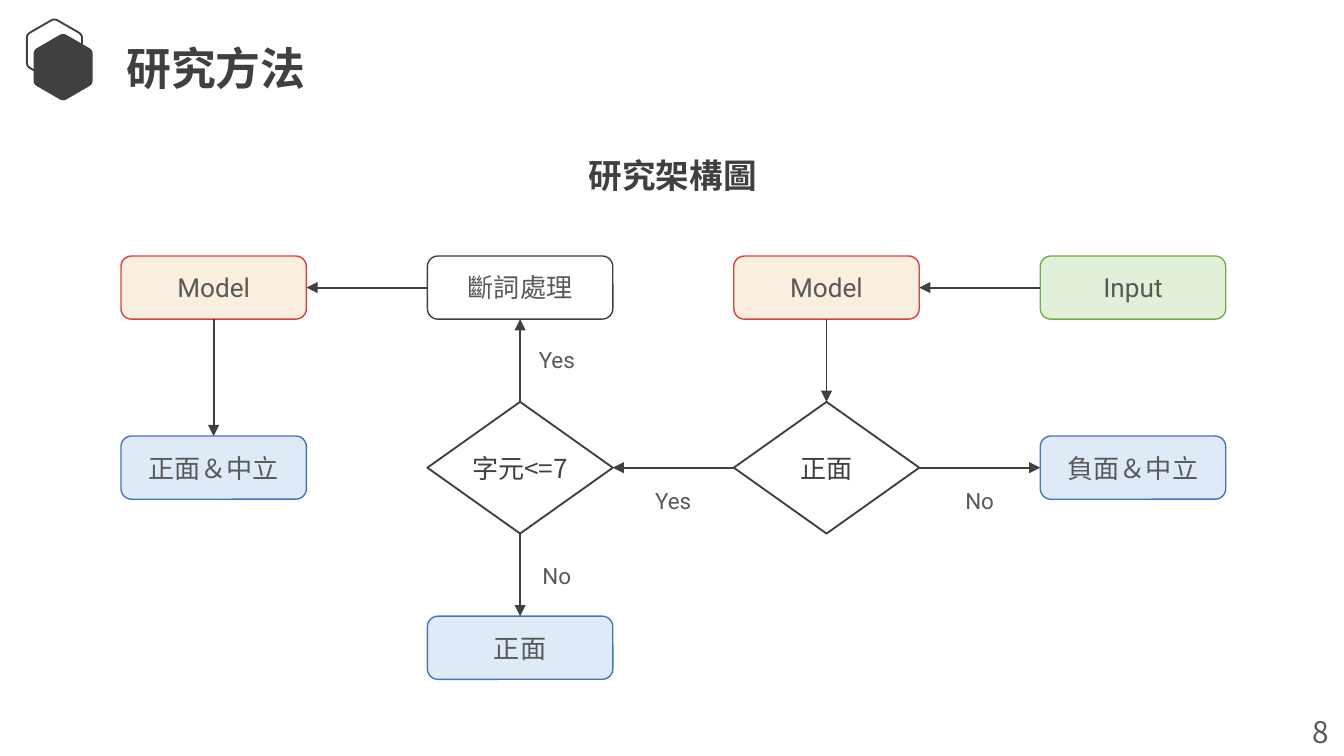
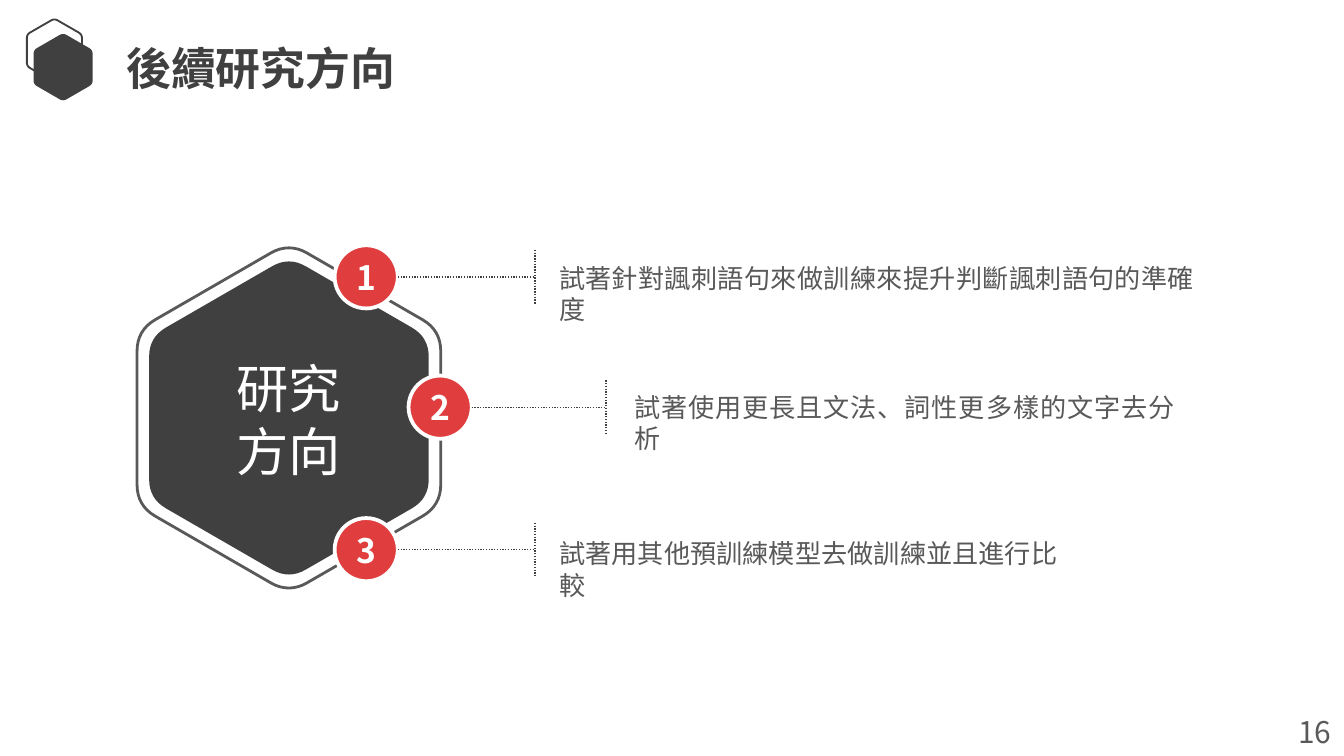
import math

import pptx
import pptx.dml.color
import pptx.enum.dml
import pptx.enum.shapes
import pptx.enum.text
import pptx.oxml
import pptx.oxml.ns
import pptx.util

DARK = pptx.dml.color.RGBColor(0x40, 0x40, 0x40)
GRAY = pptx.dml.color.RGBColor(0x59, 0x59, 0x59)
WHITE = pptx.dml.color.RGBColor(0xFF, 0xFF, 0xFF)
RED = pptx.dml.color.RGBColor(0xE0, 0x3E, 0x3E)
CREAM = pptx.dml.color.RGBColor(0xFA, 0xEE, 0xDE)
BLUE = pptx.dml.color.RGBColor(0x44, 0x72, 0xC4)
PALE_BLUE = pptx.dml.color.RGBColor(0xDE, 0xEB, 0xF7)
GREEN = pptx.dml.color.RGBColor(0x70, 0xAD, 0x47)
PALE_GREEN = pptx.dml.color.RGBColor(0xE2, 0xF0, 0xD9)

CHINESE_FONT = "Noto Sans CJK JP"
LATIN_FONT = "Roboto"
ROUND_BOX = pptx.enum.shapes.MSO_SHAPE.ROUNDED_RECTANGLE
DIAMOND = pptx.enum.shapes.MSO_SHAPE.DIAMOND
OVAL = pptx.enum.shapes.MSO_SHAPE.OVAL
STRAIGHT = pptx.enum.shapes.MSO_CONNECTOR.STRAIGHT
TOP = pptx.enum.text.MSO_ANCHOR.TOP
MIDDLE = pptx.enum.text.MSO_ANCHOR.MIDDLE
LEFT = pptx.enum.text.PP_ALIGN.LEFT
CENTER = pptx.enum.text.PP_ALIGN.CENTER
JUSTIFY = pptx.enum.text.PP_ALIGN.JUSTIFY

SLIDE_WIDTH = 10
SLIDE_HEIGHT = 5.625


def write_text(shape, text, size, color, alignment=CENTER, anchor=MIDDLE,
               insets=(0.1, 0.05), wrap=True, font=CHINESE_FONT, bold=False):
    """Fill a shape with text; insets are the side and top margins in inches."""
    side, top = (pptx.util.Inches(inset) for inset in insets)
    frame_format = {
        "text": text,
        "auto_size": pptx.enum.text.MSO_AUTO_SIZE.NONE,
        "word_wrap": wrap,
        "vertical_anchor": anchor,
        "margin_left": side,
        "margin_right": side,
        "margin_top": top,
        "margin_bottom": top,
    }
    for name, value in frame_format.items():
        setattr(shape.text_frame, name, value)
    for paragraph in shape.text_frame.paragraphs:
        paragraph.alignment = alignment
        for run in paragraph.runs:
            font_format = {"size": pptx.util.Pt(size), "name": font, "bold": bold}
            for name, value in font_format.items():
                setattr(run.font, name, value)
            run.font.color.rgb = color
            east_asian = pptx.oxml.ns.qn("a:ea")
            run.font._element.makeelement(east_asian)
            run.font._element.append(
                run.font._element.makeelement(east_asian, {"typeface": CHINESE_FONT}))


def add_hexagon(slide, center_x, center_y, width, fill=None, line=None, line_width=1):
    """Draw a regular hexagon with a point at the top and rounded corners."""
    radius = width / math.sqrt(3)
    corners = [(center_x + radius * math.sin(math.radians(60 * k)),
                center_y - radius * math.cos(math.radians(60 * k))) for k in range(6)]
    cut = 0.12
    steps = 8
    points = []
    for k, corner in enumerate(corners):
        before, after = corners[k - 1], corners[(k + 1) % 6]
        for step in range(steps + 1):
            t = step / steps
            points.append(tuple(
                pptx.util.Inches(c + cut * ((1 - t) ** 2 * (b - c) + t ** 2 * (a - c)))
                for b, c, a in zip(before, corner, after)))
    builder = slide.shapes.build_freeform(*points[0])
    builder.add_line_segments(points[1:], close=True)
    hexagon = builder.convert_to_shape()
    hexagon.fill.background()
    hexagon.line.fill.background()
    if fill is not None:
        hexagon.fill.solid()
        hexagon.fill.fore_color.rgb = fill
    if line is not None:
        hexagon.line.color.rgb = line
        hexagon.line.width = pptx.util.Pt(line_width)


presentation = pptx.Presentation()
presentation.slide_width = pptx.util.Inches(SLIDE_WIDTH)
presentation.slide_height = pptx.util.Inches(SLIDE_HEIGHT)

# Heading, hexagon mark and page number on every slide
for heading, page in [("研究方法", "8"), ("後續研究方向", "16")]:
    slide = presentation.slides.add_slide(presentation.slide_layouts[5])
    add_hexagon(slide, 0.405, 0.375, 0.41, line=DARK)
    add_hexagon(slide, 0.47, 0.5, 0.44, fill=DARK)
    title = slide.shapes.title
    title_place = {"left": 0.87, "top": 0.26, "width": 3.54, "height": 0.48}
    for name, value in title_place.items():
        setattr(title, name, pptx.util.Inches(value))
    write_text(title, heading, 24, DARK, LEFT, TOP, (0.07, 0.04), bold=True)
    page_width = 0.22 + 0.11 * len(page)
    page_number = slide.shapes.add_textbox(
        pptx.util.Inches(SLIDE_WIDTH - page_width), pptx.util.Inches(5.26),
        pptx.util.Inches(page_width), pptx.util.Inches(0.37))
    write_text(page_number, page, 16, GRAY, LEFT, TOP, wrap=False)

flow_slide, direction_slide = presentation.slides

# Flow chart on a grid of four columns and three rows
subtitle = flow_slide.shapes.add_textbox(
    pptx.util.Inches(2.07), pptx.util.Inches(1.1),
    pptx.util.Inches(5.87), pptx.util.Inches(0.4))
write_text(subtitle, "研究架構圖", 18, DARK, bold=True)

FIRST_COLUMN, COLUMN_STEP = 1.59, 2.28
FIRST_ROW, ROW_STEP = 2.14, 1.34
BOX_TEXT = {"size": 14, "color": GRAY, "font": LATIN_FONT}
DIAMOND_TEXT = {"size": 14, "color": DARK, "insets": (0, 0), "wrap": False}
LABEL_TEXT = {"size": 12, "color": GRAY, "font": LATIN_FONT}
# kind: preset, width, height, fill, line, line width, text format
KINDS = {
    "step": (ROUND_BOX, 1.38, 0.47, None, DARK, 0.75, BOX_TEXT),
    "model": (ROUND_BOX, 1.38, 0.47, CREAM, RED, 0.75, BOX_TEXT),
    "result": (ROUND_BOX, 1.38, 0.47, PALE_BLUE, BLUE, 0.75, BOX_TEXT),
    "input": (ROUND_BOX, 1.38, 0.47, PALE_GREEN, GREEN, 0.75, BOX_TEXT),
    "decision": (DIAMOND, 1.38, 0.98, None, DARK, 1, DIAMOND_TEXT),
    "label": (ROUND_BOX, 0.63, 0.34, None, None, 0, LABEL_TEXT),
}
nodes = {}
for kind, text, column, row in [
    ("step", "斷詞處理", 1, 0),
    ("model", "Model", 2, 0),
    ("model", "Model", 0, 0),
    ("result", "正面＆中立", 0, 1),
    ("decision", "字元<=7", 1, 1),
    ("decision", "正面", 2, 1),
    ("result", "負面＆中立", 3, 1),
    ("result", "正面", 1, 2),
    ("input", "Input", 3, 0),
    ("label", "Yes", 1.5, 1.18),
    ("label", "No", 1.12, 1.6),
    ("label", "No", 2.5, 1.18),
    ("label", "Yes", 1.12, 0.4),
]:
    preset, width, height, fill, line, line_width, text_format = KINDS[kind]
    node = flow_slide.shapes.add_shape(
        preset,
        pptx.util.Inches(FIRST_COLUMN + column * COLUMN_STEP - width / 2),
        pptx.util.Inches(FIRST_ROW + row * ROW_STEP - height / 2),
        pptx.util.Inches(width), pptx.util.Inches(height))
    node.fill.background()
    node.line.fill.background()
    if fill is not None:
        node.fill.solid()
        node.fill.fore_color.rgb = fill
    if line is not None:
        node.line.color.rgb = line
        node.line.width = pptx.util.Pt(line_width)
    write_text(node, text, **text_format)
    nodes[column, row] = node

UPPER, LEFT_SIDE, LOWER, RIGHT_SIDE = range(4)
for start, start_side, end, end_side in [
    ((3, 0), LEFT_SIDE, (2, 0), RIGHT_SIDE),
    ((2, 0), LOWER, (2, 1), UPPER),
    ((2, 1), RIGHT_SIDE, (3, 1), LEFT_SIDE),
    ((2, 1), LEFT_SIDE, (1, 1), RIGHT_SIDE),
    ((1, 1), UPPER, (1, 0), LOWER),
    ((1, 1), LOWER, (1, 2), UPPER),
    ((1, 0), LEFT_SIDE, (0, 0), RIGHT_SIDE),
    ((0, 0), LOWER, (0, 1), UPPER),
]:
    arrow = flow_slide.shapes.add_connector(STRAIGHT, 0, 0, 0, 0)
    arrow.begin_connect(nodes[start], start_side)
    arrow.end_connect(nodes[end], end_side)
    arrow.line.color.rgb = DARK
    arrow.line.width = pptx.util.Pt(1)
    arrow_line = arrow.line._get_or_add_ln()
    arrow_line.append(arrow_line.makeelement(
        pptx.oxml.ns.qn("a:tailEnd"), {"type": "triangle"}))

# Large hexagon with three numbered directions
add_hexagon(direction_slide, 2.15, 3.11, 2.08, fill=DARK)
add_hexagon(direction_slide, 2.15, 3.11, 2.26, line=GRAY, line_width=1.5)
topic = direction_slide.shapes.add_textbox(
    pptx.util.Inches(1.57), pptx.util.Inches(2.65),
    pptx.util.Inches(1.15), pptx.util.Inches(0.94))
write_text(topic, "研究\n方向", 28, WHITE, anchor=TOP, insets=(0, 0))

BADGE_SIZE = 0.47
TICK_HALF = 0.2
directions = [
    # badge left, middle, tick position, text left, text top, text width, text
    (2.49, 2.06, 3.98, 4.16, 1.95, 4.73, "試著針對諷刺語句來做訓練來提升判斷諷刺語句的準確度"),
    (3.04, 3.03, 4.51, 4.72, 2.91, 4.02, "試著使用更長且文法、詞性更多樣的文字去分析"),
    (2.49, 4.09, 3.98, 4.16, 4.0, 3.71, "試著用其他預訓練模型去做訓練並且進行比較"),
]
for number, direction in enumerate(directions, start=1):
    badge_left, middle, tick, text_left, text_top, text_width, text = direction
    badge = direction_slide.shapes.add_shape(
        OVAL, pptx.util.Inches(badge_left), pptx.util.Inches(middle - BADGE_SIZE / 2),
        pptx.util.Inches(BADGE_SIZE), pptx.util.Inches(BADGE_SIZE))
    badge.fill.solid()
    badge.fill.fore_color.rgb = RED
    badge.line.color.rgb = WHITE
    badge.line.width = pptx.util.Pt(2)
    write_text(badge, str(number), 18, WHITE, insets=(0.07, 0.04), bold=True)
    for ends in [(badge_left + BADGE_SIZE, middle, tick, middle),
                 (tick, middle - TICK_HALF, tick, middle + TICK_HALF)]:
        leader = direction_slide.shapes.add_connector(
            STRAIGHT, *(pptx.util.Inches(end) for end in ends))
        leader.line.color.rgb = DARK
        leader.line.width = pptx.util.Pt(0.75)
        leader.line.dash_style = pptx.enum.dml.MSO_LINE.ROUND_DOT
    description = direction_slide.shapes.add_textbox(
        pptx.util.Inches(text_left), pptx.util.Inches(text_top),
        pptx.util.Inches(text_width), pptx.util.Inches(0.24))
    write_text(description, text, 14, GRAY, JUSTIFY, TOP, (0, 0))

# No shadows anywhere
for slide in presentation.slides:
    for shape in slide.shapes:
        if shape.shape_type == pptx.enum.shapes.MSO_SHAPE_TYPE.LINE:
            properties = shape._element.spPr
            properties.append(properties.makeelement(pptx.oxml.ns.qn("a:effectLst")))
        elif not shape.is_placeholder:
            shape.shadow.inherit = False

presentation.save("out.pptx")
